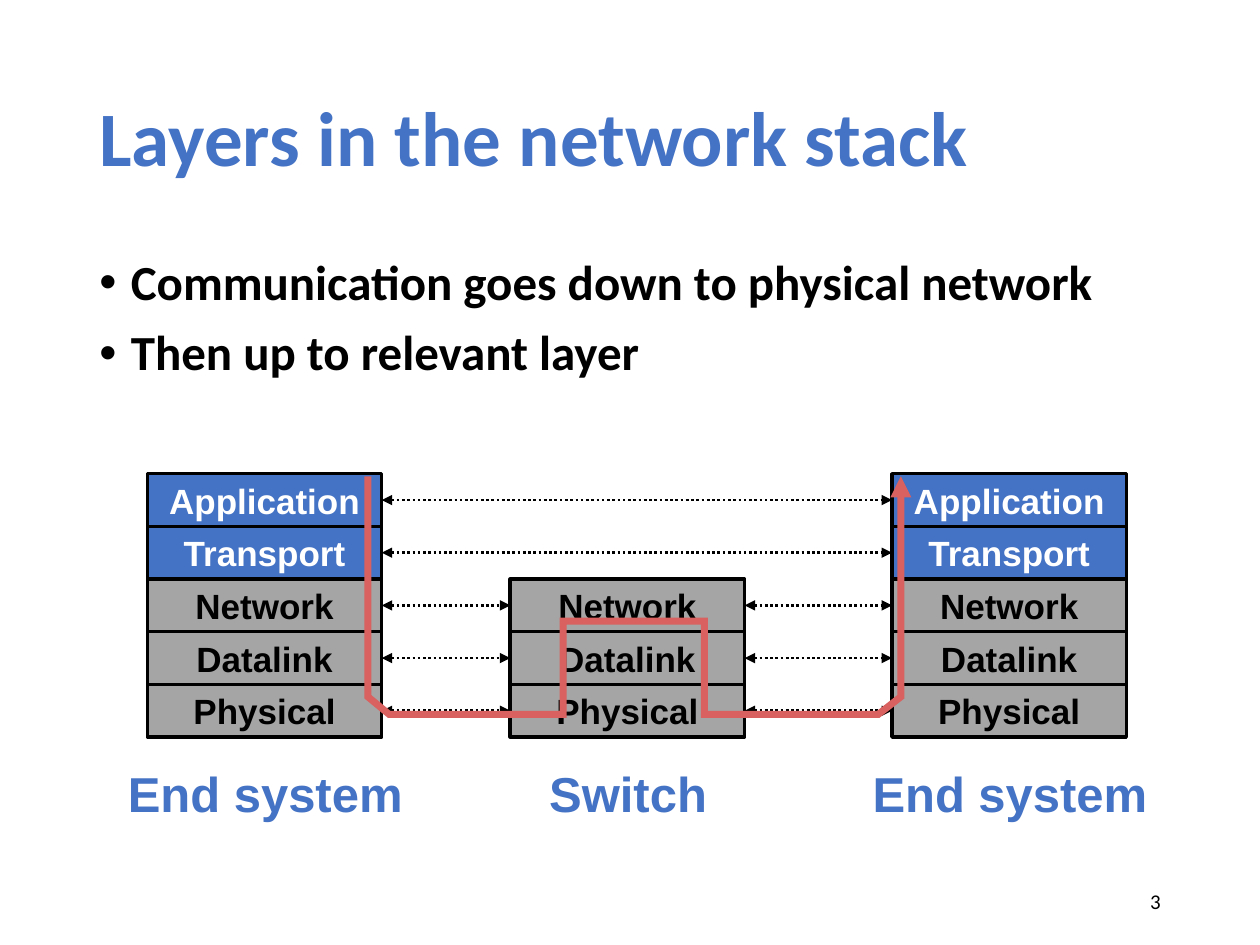
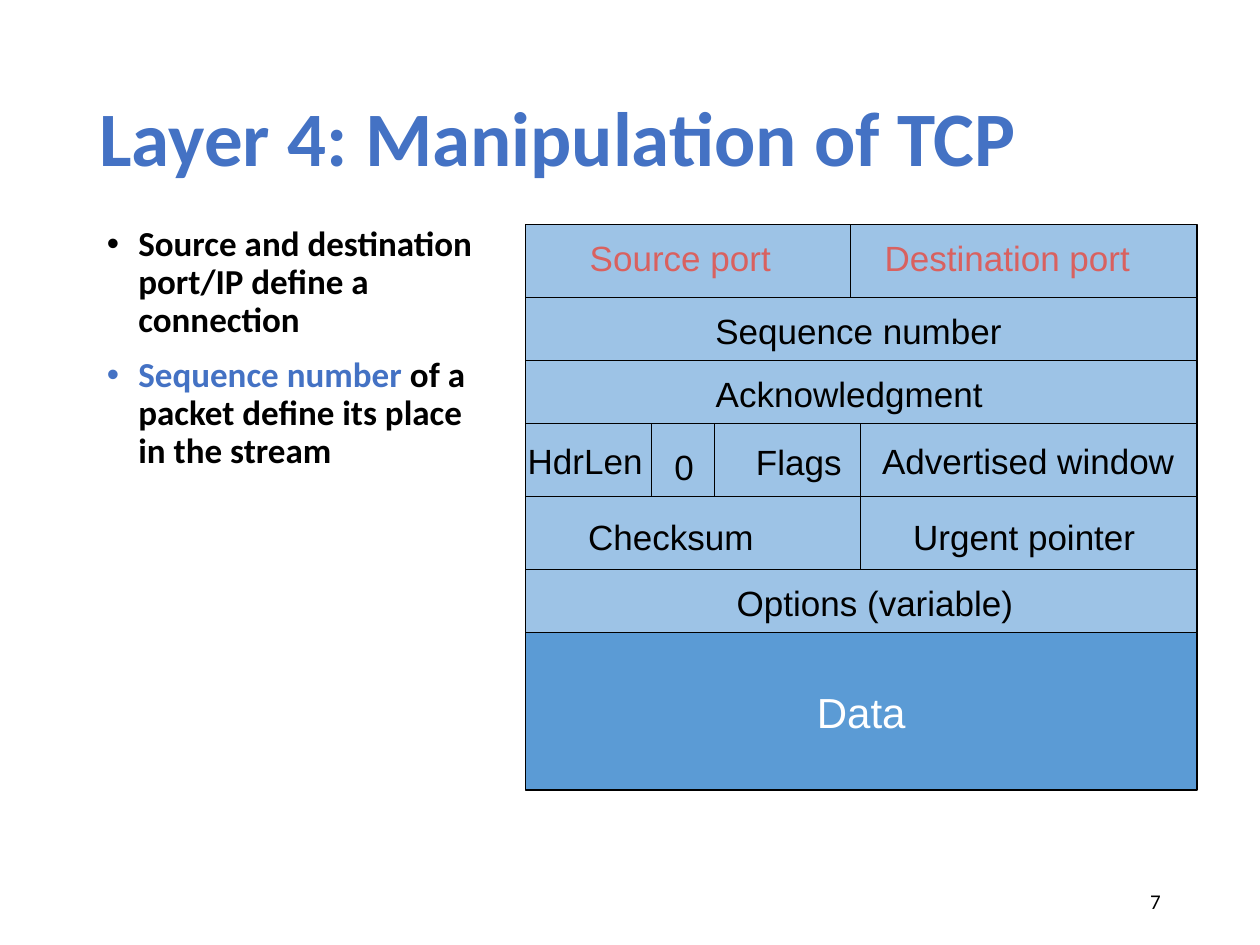
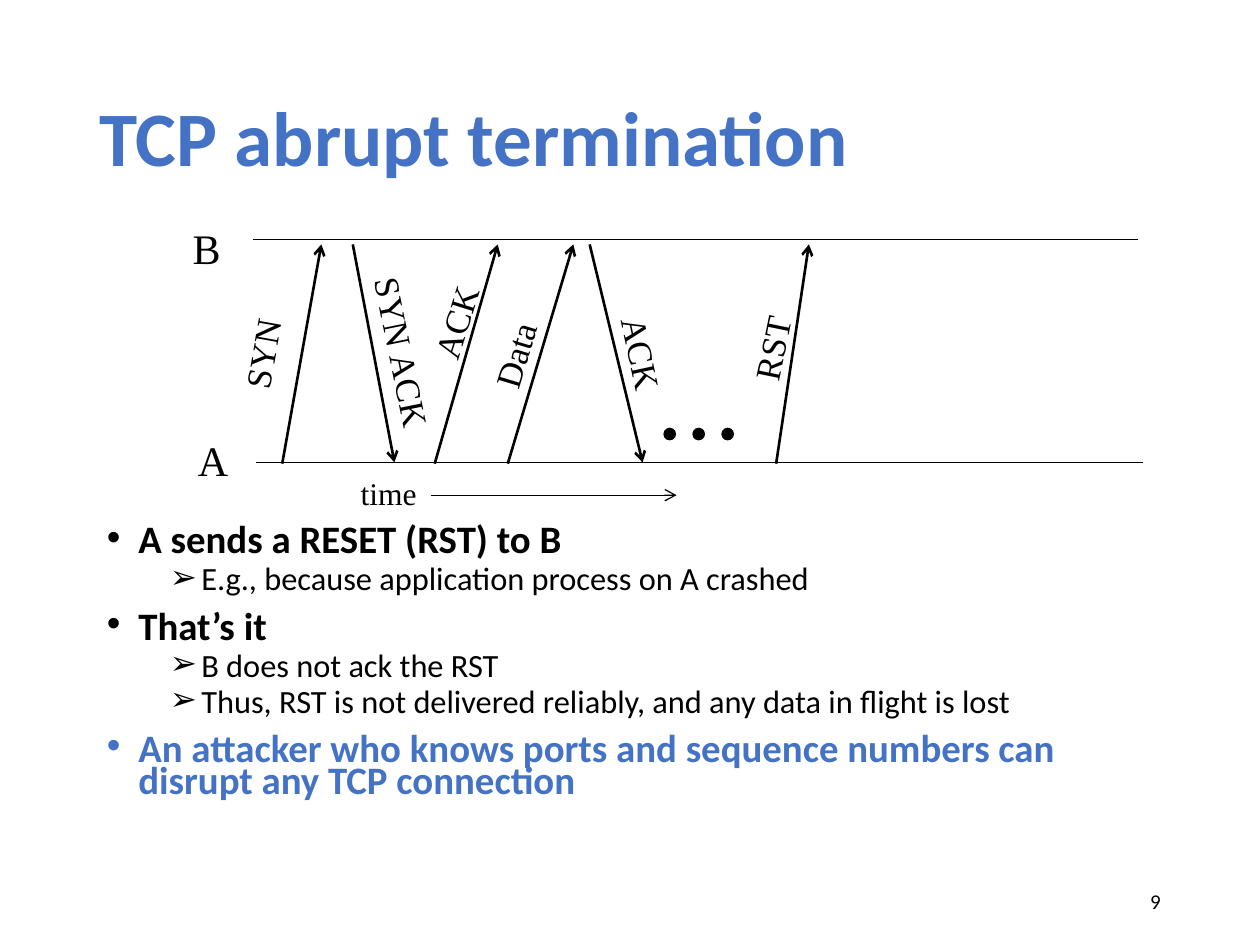
from lxml import etree
from pptx import Presentation
from pptx import util as u
from pptx.dml import color
from pptx.enum import dml, shapes, text
from pptx.oxml import ns

BLUE, RED, GRAY = "4472C4", "D9615F", "A5A5A5"
PALE, SKY = "9DC3E6", "5B9BD5"
BLACK, WHITE = "000000", "FFFFFF"
SERIF = "Times New Roman"
MID = text.MSO_ANCHOR.MIDDLE
TOP = text.MSO_ANCHOR.TOP
ALIGN = text.PP_ALIGN

LAYERS = ["Application", "Transport", "Network", "Datalink", "Physical"]

FIELDS = [
    (0.58, [2.58, 2.75], [("Source port", 0.41, 0.05, 1.64, RED),
                          ("Destination port", 2.75, 0.05, 2.15, RED)]),
    (0.5, [5.33], [("Sequence number", 1.41, 0.05, 2.47, BLACK)]),
    (0.5, [5.33], [("Acknowledgment", 1.41, 0.05, 2.32, BLACK)]),
    (0.58, [2.66, 2.67], [("HdrLen", -0.11, 0.08, 1.17, BLACK),
                          ("0", 1.08, 0.13, 0.36, BLACK),
                          ("Flags", 1.73, 0.09, 0.88, BLACK),
                          ("Advertised window", 2.73, 0.08, 2.52, BLACK)]),
    (0.58, [2.66, 2.67], [("Checksum", 0.4, 0.1, 1.51, BLACK),
                          ("Urgent pointer", 2.98, 0.1, 1.96, BLACK)]),
    (0.5, [5.33], [("Options (variable)", 1.58, 0.05, 2.39, BLACK)]),
]
SPLITS = [1.0, 1.5]

SIGNALS = [
    (0.24, 0.55, True, "SYN", -0.3, 0.69, 0.76, 280.1),
    (0.8, 1.13, False, "SYN ACK", 0.49, 0.68, 1.41, 78.5),
    (1.45, 1.95, True, "ACK", 1.22, 0.44, 0.79, 287.4),
    (2.03, 2.55, True, "Data", 1.72, 0.7, 0.73, 286.7),
    (2.68, 3.1, False, "ACK", 2.7, 0.69, 0.79, 77.9),
    (4.16, 4.42, True, "RST", 3.77, 0.65, 0.71, 281.6),
]


def rgb(code):
    """Turn a hex string into a colour."""
    return color.RGBColor.from_string(code)


def inch(*sizes):
    """Turn numbers into lengths in inches."""
    return [u.Inches(size) for size in sizes]


def say(para, words, size, font, ink, bold=False):
    """Add one run to a paragraph."""
    run = para.add_run()
    run.text = words
    run.font.size = u.Pt(size)
    run.font.name = font
    run.font.bold = bold
    run.font.color.rgb = rgb(ink)


def label(slide, box, words, size, font="Arial", ink=BLACK, bold=False,
          align=ALIGN.CENTER, wrap=False, turn=0):
    """Add a text box with one line of text, centred vertically."""
    shape = slide.shapes.add_textbox(*inch(*box))
    shape.rotation = turn
    frame = shape.text_frame
    frame.word_wrap = wrap
    frame.vertical_anchor = MID
    if not wrap:
        frame.margin_left = frame.margin_right = 0
    para = frame.paragraphs[0]
    para.alignment = align
    say(para, words, size, font, ink, bold)
    return para


def block(slide, box, fill, width, kind=shapes.MSO_SHAPE.RECTANGLE):
    """Add a filled shape with a black outline."""
    shape = slide.shapes.add_shape(kind, *inch(*box))
    shape.shadow.inherit = False
    shape.fill.solid()
    shape.fill.fore_color.rgb = rgb(fill)
    shape.line.color.rgb = rgb(BLACK)
    shape.line.width = u.Pt(width)
    return shape


def cell(slide, box, fill, width, words, size, ink, bold=False):
    """Add a block with centred text."""
    shape = block(slide, box, fill, width)
    frame = shape.text_frame
    frame.word_wrap = False
    frame.vertical_anchor = MID
    para = frame.paragraphs[0]
    para.alignment = ALIGN.CENTER
    say(para, words, size, "Arial", ink, bold)
    return shape


def tip(shape, **ends):
    """Put arrowheads on the named ends of a line."""
    line = shape.element.spPr.find(ns.qn("a:ln"))
    for end, kind in ends.items():
        etree.SubElement(line, ns.qn(f"a:{end}"), type=kind)


def wire(slide, start, end, width=0.75):
    """Add a straight black line."""
    line = slide.shapes.add_connector(
        shapes.MSO_CONNECTOR.STRAIGHT, *inch(*start, *end))
    line.line.color.rgb = rgb(BLACK)
    line.line.width = u.Pt(width)
    etree.SubElement(line.element.spPr, ns.qn("a:effectLst"))
    return line


def link(slide, left, right):
    """Join two blocks side to side with a dotted double arrow."""
    line = wire(slide, (0, 0), (1, 1), 1.5)
    line.line.dash_style = dml.MSO_LINE.ROUND_DOT
    line.begin_connect(left, 3)
    line.end_connect(right, 1)
    tip(line, headEnd="triangle", tailEnd="triangle")


def points(slide, box, items, sizes, space):
    """Add a bulleted list whose items hold a level and runs."""
    frame = slide.shapes.add_textbox(*inch(*box)).text_frame
    frame.word_wrap = True
    frame.vertical_anchor = TOP
    for i, (level, runs) in enumerate(items):
        para = frame.add_paragraph() if i else frame.paragraphs[0]
        para.level = level
        para.line_spacing = space
        para.space_before = u.Pt(5 if level else 10)
        props = para._p.get_or_add_pPr()
        props.set("marL", str(u.Inches(0.25 + 0.5 * level)))
        props.set("indent", str(u.Inches(-0.25)))
        etree.SubElement(props, ns.qn("a:buFont"), typeface="Arial")
        etree.SubElement(props, ns.qn("a:buChar"), char="•➢"[level])
        for words, ink in runs:
            say(para, words, sizes[level], "Calibri", ink, level == 0)


def page(deck, title, number):
    """Add a slide with its title and page number."""
    slide = deck.slides.add_slide(deck.slide_layouts[6])
    para = label(slide, (0.69, 0.4, 8.62, 1.45), title, 44, "Calibri", BLUE,
                 True, ALIGN.LEFT, True)
    para.line_spacing = 0.9
    label(slide, (7.06, 6.95, 2.25, 0.4), number, 12, "Calibri",
          align=ALIGN.RIGHT, wrap=True)
    return slide


def stack(slide, x, y, name, first=0):
    """Draw a column of layers from the first one down, with its name."""
    wide, high = 1.86, 2.09 / len(LAYERS)
    cells = {}
    for i, layer in list(enumerate(LAYERS))[first:]:
        fill, ink = (BLUE, WHITE) if i < 2 else (GRAY, BLACK)
        cells[layer] = cell(slide, (x, y + i * high, wide, high), fill, 2,
                            layer, 20, ink, True)
    label(slide, (x - 0.27, y + 2.25, 2.41, 0.57), name, 28, ink=BLUE,
          bold=True)
    return cells


def route(slide, x, y):
    """Trace the way of a message down, through the switch and up."""
    turns = [(0, 1.75), (0.17, 1.89), (1.55, 1.89), (1.55, 1.15),
             (2.67, 1.15), (2.67, 1.89), (4.05, 1.89), (4.23, 1.75),
             (4.23, 0)]
    pen = slide.shapes.build_freeform(*inch(x, y))
    pen.add_line_segments([inch(x + a, y + b) for a, b in turns], close=False)
    shape = pen.convert_to_shape()
    shape.shadow.inherit = False
    shape.fill.background()
    shape.line.color.rgb = rgb(RED)
    shape.line.width = u.Pt(4)
    line = shape.element.spPr.find(ns.qn("a:ln"))
    etree.SubElement(line, ns.qn("a:miter"), lim="800000")
    tip(shape, tailEnd="triangle")


def network(slide, x, y):
    """Draw two end systems and a switch with their links."""
    near = stack(slide, x, y, "End system")
    far = stack(slide, x + 5.91, y, "End system")
    switch = stack(slide, x + 2.88, y, "Switch", 2)
    for layer in LAYERS:
        if layer in switch:
            link(slide, near[layer], switch[layer])
            link(slide, switch[layer], far[layer])
        else:
            link(slide, near[layer], far[layer])
    route(slide, x + 1.75, y + 0.02)


def header(slide, x, y):
    """Draw the fields of a TCP segment row by row."""
    for high, widths, names in FIELDS:
        left = x
        for wide in widths:
            block(slide, (left, y, wide, high), PALE, 0.75)
            left += wide
        if len(names) > len(widths):
            for split in SPLITS:
                wire(slide, (x + split, y), (x + split, y + high))
        for name, dx, dy, wide, ink in names:
            label(slide, (x + dx, y + dy, wide, 0.43), name, 20, ink=ink)
        y += high
    cell(slide, (x, y, 5.33, 1.25), SKY, 0.75, "Data", 24, WHITE)


def timing(slide, x, y):
    """Draw the messages sent between A and B over time."""
    high = 1.77
    wire(slide, (x + 0.01, y), (x + 7.03, y))
    wire(slide, (x + 0.03, y + high), (x + 7.07, y + high))
    for start, end, up, name, dx, dy, wide, turn in SIGNALS:
        rows = (y + high + 0.01, y + 0.04) if up else (y + 0.04, y + high)
        line = wire(slide, (x + start, rows[0]), (x + end, rows[1]), 1.5)
        tip(line, tailEnd="arrow")
        label(slide, (x + dx, y + dy, wide, 0.43), name, 20, SERIF, turn=turn)
    for i in range(3):
        block(slide, (x + 3.27 + 0.23 * i, y + 1.5, 0.09, 0.09), BLACK, 0.75,
              shapes.MSO_SHAPE.OVAL)
    label(slide, (x - 0.57, y - 0.18, 0.42, 0.5), "B", 24, SERIF)
    label(slide, (x - 0.53, y + 1.5, 0.44, 0.5), "A", 24, SERIF)
    label(slide, (x + 0.76, y + 1.81, 0.65, 0.4), "time", 18, SERIF)
    line = wire(slide, (x + 1.42, y + 2.03), (x + 3.37, y + 2.03))
    tip(line, tailEnd="arrow")


def main():
    """Build the three slides and save them."""
    deck = Presentation()
    deck.slide_width, deck.slide_height = inch(10, 7.5)

    slide = page(deck, "Layers in the network stack", "3")
    points(slide, (0.69, 2, 8.62, 1.6), [
        (0, [("Communication goes down to physical network", BLACK)]),
        (0, [("Then up to relevant layer", BLACK)]),
    ], [28], 0.9)
    network(slide, 1.17, 3.76)

    slide = page(deck, "Layer 4: Manipulation of TCP", "7")
    points(slide, (0.75, 1.75, 3.14, 4.83), [
        (0, [("Source and destination port/IP define a connection", BLACK)]),
        (0, [("Sequence number ", BLUE),
             ("of a packet define its place in the stream", BLACK)]),
    ], [20], 0.9)
    header(slide, 4.17, 1.78)

    slide = page(deck, "TCP abrupt termination", "9")
    points(slide, (0.75, 4.14, 8.67, 2.44), [
        (0, [("A sends a RESET (RST) to B", BLACK)]),
        (1, [("E.g., because application process on A crashed", BLACK)]),
        (0, [("That’s it", BLACK)]),
        (1, [("B does not ack the RST", BLACK)]),
        (1, [("Thus, RST is not delivered reliably, and any data in flight "
              "is lost", BLACK)]),
        (0, [("An attacker who knows ports and sequence numbers can disrupt "
              "any TCP connection", BLUE)]),
    ], [22.2, 18.5], 0.7)
    timing(slide, 2, 1.9)

    deck.save("out.pptx")


if __name__ == "__main__":
    main()
